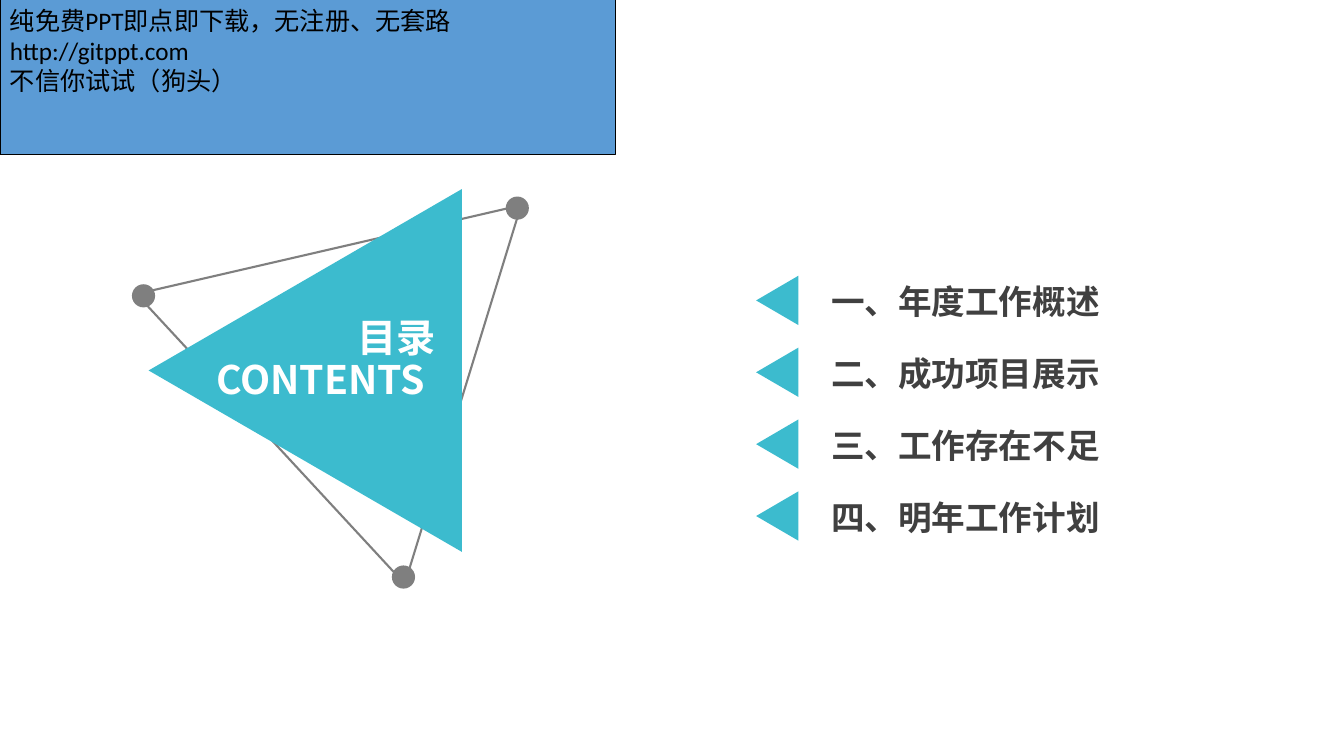
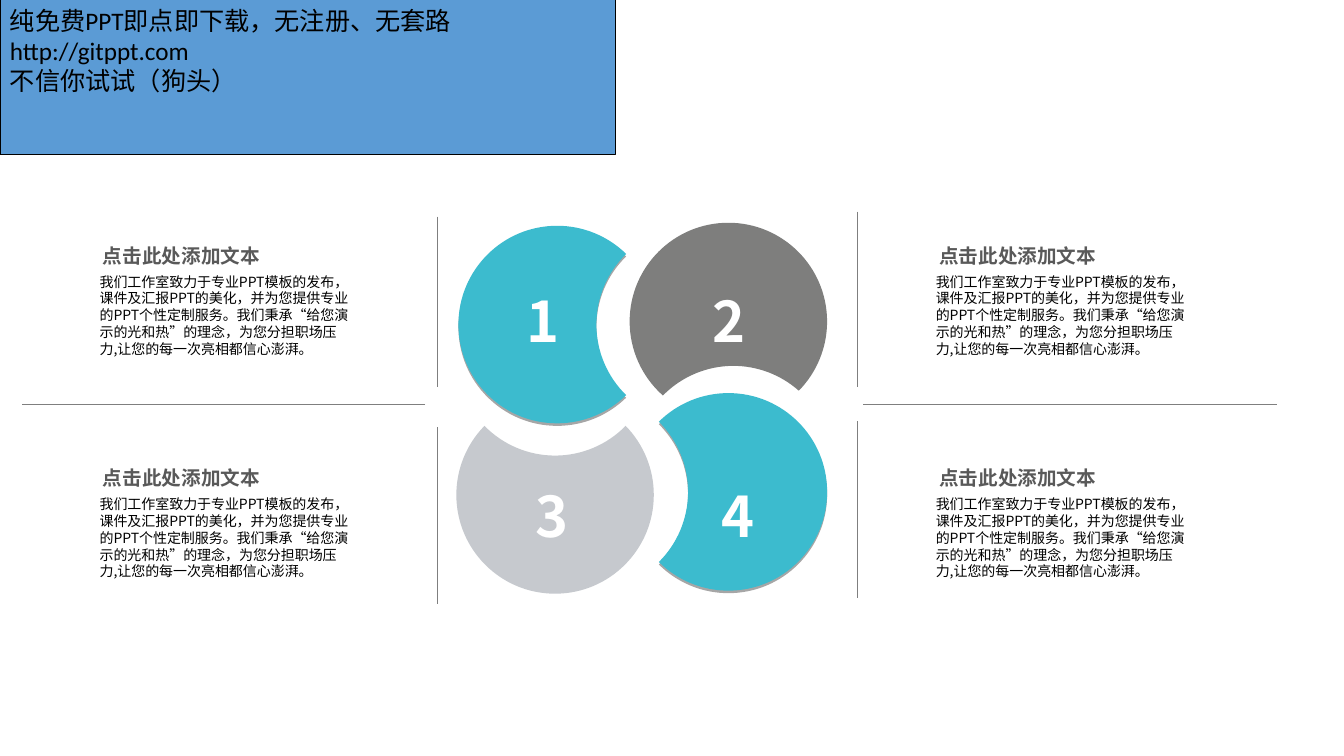
"""Build the contents slide and the four-petal slide of a work report."""
from dataclasses import dataclass
from math import acos, atan2, cos, dist, pi, sin, tan

from lxml import etree
from pptx import Presentation
from pptx.dml.color import RGBColor
from pptx.enum.shapes import MSO_CONNECTOR, MSO_SHAPE
from pptx.enum.text import MSO_ANCHOR, MSO_AUTO_SIZE, PP_ALIGN
from pptx.oxml.ns import qn
from pptx.util import Inches, Pt

TRIANGLE = MSO_SHAPE.ISOSCELES_TRIANGLE
OVAL = MSO_SHAPE.OVAL
RECTANGLE = MSO_SHAPE.RECTANGLE
STRAIGHT = MSO_CONNECTOR.STRAIGHT
TOP = MSO_ANCHOR.TOP
LEFT = PP_ALIGN.LEFT
RIGHT = PP_ALIGN.RIGHT
FIT_SHAPE = MSO_AUTO_SIZE.SHAPE_TO_FIT_TEXT


@dataclass(frozen=True)
class Theme:
    font: str = "Noto Sans CJK SC"
    band_font: str = "Calibri"
    teal: str = "3CBBCE"
    gray: str = "7F7F7F"
    dark_petal: str = "7E7E7D"
    pale_petal: str = "C6C9CE"
    band: str = "5B9BD5"
    black: str = "000000"
    white: str = "FFFFFF"
    item: str = "404040"
    heading: str = "595959"
    number_size: int = 40
    title_size: int = 28
    item_size: int = 24
    band_size: int = 18
    heading_size: int = 14
    body_size: int = 10
    line_height: float = 1.2


@dataclass(frozen=True)
class Area:
    left: float
    top: float
    width: float
    height: float

    def lengths(self) -> tuple:
        return tuple(Inches(value) for value in (self.left, self.top, self.width, self.height))


@dataclass(frozen=True)
class Petal:
    number: str
    center: tuple[float, float]
    bite: tuple[float, float]
    label: tuple[float, float]
    color: str
    raised: bool = False


THEME = Theme()
PETAL_RADIUS = 0.98
BAND_TEXT = "纯免费PPT即点即下载，无注册、无套路\nhttp://gitppt.com\n不信你试试（狗头）"
ITEMS = ("一、年度工作概述", "二、成功项目展示", "三、工作存在不足", "四、明年工作计划")
ITEM_PITCH = 0.713
DOTS = ((1.31, 2.82), (3.89, 5.61), (5.02, 1.95))
PETALS = (
    Petal("1", (5.53, 3.22), (6.9, 3.22), (5.13, 2.79), THEME.teal, True),
    Petal("2", (7.23, 3.19), (7.28, 4.61), (6.97, 2.79), THEME.dark_petal),
    Petal("4", (7.23, 4.88), (5.85, 4.88), (7.06, 4.73), THEME.teal, True),
    Petal("3", (5.51, 4.91), (5.51, 3.54), (5.22, 4.73), THEME.pale_petal),
)
RULES = (
    (4.34, 2.15, 4.34, 3.84),
    (4.34, 4.24, 4.34, 5.99),
    (8.51, 4.18, 8.51, 5.93),
    (8.51, 2.1, 8.51, 3.84),
    (8.57, 4.01, 12.68, 4.01),
    (4.22, 4.01, 0.22, 4.01),
)
CARD_HEADING = "点击此处添加文本"
CARD_BODY = (
    "我们工作室致力于专业PPT模板的发布，课件及汇报PPT的美化，并为您提供专业的PPT个性定制服务。"
    "我们秉承“给您演示的光和热”的理念，为您分担职场压力,让您的每一次亮相都信心澎湃。"
)


def color_of(value: str) -> RGBColor:
    return RGBColor.from_string(value)


def paint(shape, fill: str | None = None, line: str | None = None, width: float = 0.75) -> None:
    shape.shadow.inherit = False
    if fill:
        shape.fill.solid()
        shape.fill.fore_color.rgb = color_of(fill)
    else:
        shape.fill.background()
    if line:
        shape.line.color.rgb = color_of(line)
        shape.line.width = Pt(width)
    else:
        shape.line.fill.background()


def add_figure(page, kind, area: Area, *, rotation: float = 0, **look):
    shape = page.shapes.add_shape(kind, *area.lengths())
    shape.rotation = rotation
    paint(shape, **look)
    return shape


def write(frame, text: str, *, size: int, color: str, bold: bool = True, align=LEFT,
          spacing: float = 1, font: str = THEME.font) -> None:
    for index, line in enumerate(text.split("\n")):
        para = frame.add_paragraph() if index else frame.paragraphs[0]
        para.alignment = align
        para.line_spacing = Pt(round(size * THEME.line_height * spacing, 1))
        para._p.get_or_add_pPr().set("hangingPunct", "0")
        span = para.add_run()
        span.text = line
        span.font.size = Pt(size)
        span.font.bold = bold
        span.font.color.rgb = color_of(color)
        span.font.name = font
        latin = span.font._element.find(qn("a:latin"))
        latin.addnext(etree.Element(qn("a:ea"), typeface=font))


def add_text(page, text: str, area: Area, *, wrap: bool = True, **style) -> None:
    box = page.shapes.add_textbox(*area.lengths())
    box.text_frame.word_wrap = wrap
    box.text_frame.auto_size = FIT_SHAPE
    write(box.text_frame, text, **style)


def add_rule(page, start_x: float, start_y: float, end_x: float, end_y: float) -> None:
    rule = page.shapes.add_connector(
        STRAIGHT, Inches(start_x), Inches(start_y), Inches(end_x), Inches(end_y))
    rule.line.color.rgb = color_of(THEME.gray)
    rule.line.width = Pt(0.75)
    etree.SubElement(rule._element.spPr, qn("a:effectLst"))


def add_drop_shadow(shape) -> None:
    effects = shape._element.spPr.find(qn("a:effectLst"))
    shadow = etree.SubElement(effects, qn("a:outerShdw"), blurRad="0",
                              dist=str(Pt(1.8)), dir="5400000", algn="t", rotWithShape="0")
    tone = etree.SubElement(shadow, qn("a:srgbClr"), val=THEME.black)
    etree.SubElement(tone, qn("a:alpha"), val="34000")


def arc(center: tuple[float, float], start: float, end: float) -> list[tuple]:
    """Return Bézier points of an arc, split where it meets the axes."""
    low, high = sorted((start, end))
    axes = [turn * pi / 2 for turn in range(-4, 9) if low < turn * pi / 2 < high]
    stops = sorted([low, *axes, high], reverse=start > end)
    points = []
    for first, last in zip(stops, stops[1:]):
        reach = 4 / 3 * tan((last - first) / 4)
        offsets = (
            (cos(first), sin(first)),
            (cos(first) - reach * sin(first), sin(first) + reach * cos(first)),
            (cos(last) + reach * sin(last), sin(last) - reach * cos(last)),
            (cos(last), sin(last)),
        )
        points += offsets[1:] if points else offsets
    return [(Inches(center[0] + PETAL_RADIUS * across), Inches(center[1] + PETAL_RADIUS * down))
            for across, down in points]


def bend(shape) -> None:
    """Turn each three line segments of a freeform into one Bézier curve."""
    lines = list(shape._element.iter(qn("a:lnTo")))
    for index in range(0, len(lines), 3):
        curve = etree.Element(qn("a:cubicBezTo"))
        lines[index].addprevious(curve)
        for line in lines[index:index + 3]:
            curve.append(line[0])
            line.getparent().remove(line)


def add_petal(page, petal: Petal) -> None:
    toward = atan2(petal.bite[1] - petal.center[1], petal.bite[0] - petal.center[0])
    half = acos(dist(petal.center, petal.bite) / (2 * PETAL_RADIUS))
    points = arc(petal.center, toward + half, toward + 2 * pi - half)
    points += arc(petal.bite, toward + pi + half, toward + pi - half)[1:]
    builder = page.shapes.build_freeform(*points[0])
    builder.add_line_segments(points[1:], close=True)
    shape = builder.convert_to_shape()
    bend(shape)
    paint(shape, fill=petal.color)
    if petal.raised:
        add_drop_shadow(shape)
    add_text(page, petal.number, Area(*petal.label, 0.51, 0.77),
             size=THEME.number_size, color=THEME.white, wrap=False)


def add_card(page, left: float, top: float) -> None:
    add_text(page, CARD_HEADING, Area(left, top, 1.85, 0.45), size=THEME.heading_size,
             color=THEME.heading, align=RIGHT, spacing=1.5)
    add_text(page, CARD_BODY, Area(left + 0.06, top + 0.41, 2.72, 0.94),
             size=THEME.body_size, color=THEME.black, bold=False)


def add_band(page) -> None:
    band = add_figure(page, RECTANGLE, Area(0, 0, 6.11, 1.53),
                      fill=THEME.band, line=THEME.black)
    frame = band.text_frame
    frame.word_wrap = True
    frame.vertical_anchor = TOP
    write(frame, BAND_TEXT, size=THEME.band_size, color=THEME.black, bold=False,
          font=THEME.band_font)


def draw_contents(page) -> None:
    add_figure(page, TRIANGLE, Area(1.01, 1.72, 3.93, 3.39), rotation=287.1,
               line=THEME.gray, width=1.5)
    add_figure(page, TRIANGLE, Area(1.23, 2.12, 3.6, 3.11), rotation=270, fill=THEME.teal)
    for left, top in DOTS:
        add_figure(page, OVAL, Area(left, top, 0.23, 0.23), fill=THEME.gray)
    for text, area in (("CONTENTS", Area(2.05, 3.48, 2.53, 0.57)),
                       ("目录", Area(3.45, 3.06, 1.01, 0.57))):
        add_text(page, text, area, size=THEME.title_size, color=THEME.white)
    for index, text in enumerate(ITEMS):
        offset = index * ITEM_PITCH
        add_figure(page, TRIANGLE, Area(7.47, 2.77 + offset, 0.49, 0.42),
                   rotation=270, fill=THEME.teal)
        add_text(page, text, Area(8.15, 2.74 + offset, 2.95, 0.5),
                 size=THEME.item_size, color=THEME.item)


def draw_petals(page) -> None:
    for petal in PETALS:
        add_petal(page, petal)
    for rule in RULES:
        add_rule(page, *rule)
    for left in (0.83, 9.13):
        for top in (2.25, 4.46):
            add_card(page, left, top)


def main() -> None:
    deck = Presentation()
    deck.slide_width = Inches(13.34)
    deck.slide_height = Inches(7.5)
    for draw in (draw_contents, draw_petals):
        page = deck.slides.add_slide(deck.slide_layouts[6])
        draw(page)
        add_band(page)
    deck.save("out.pptx")


if __name__ == "__main__":
    main()
